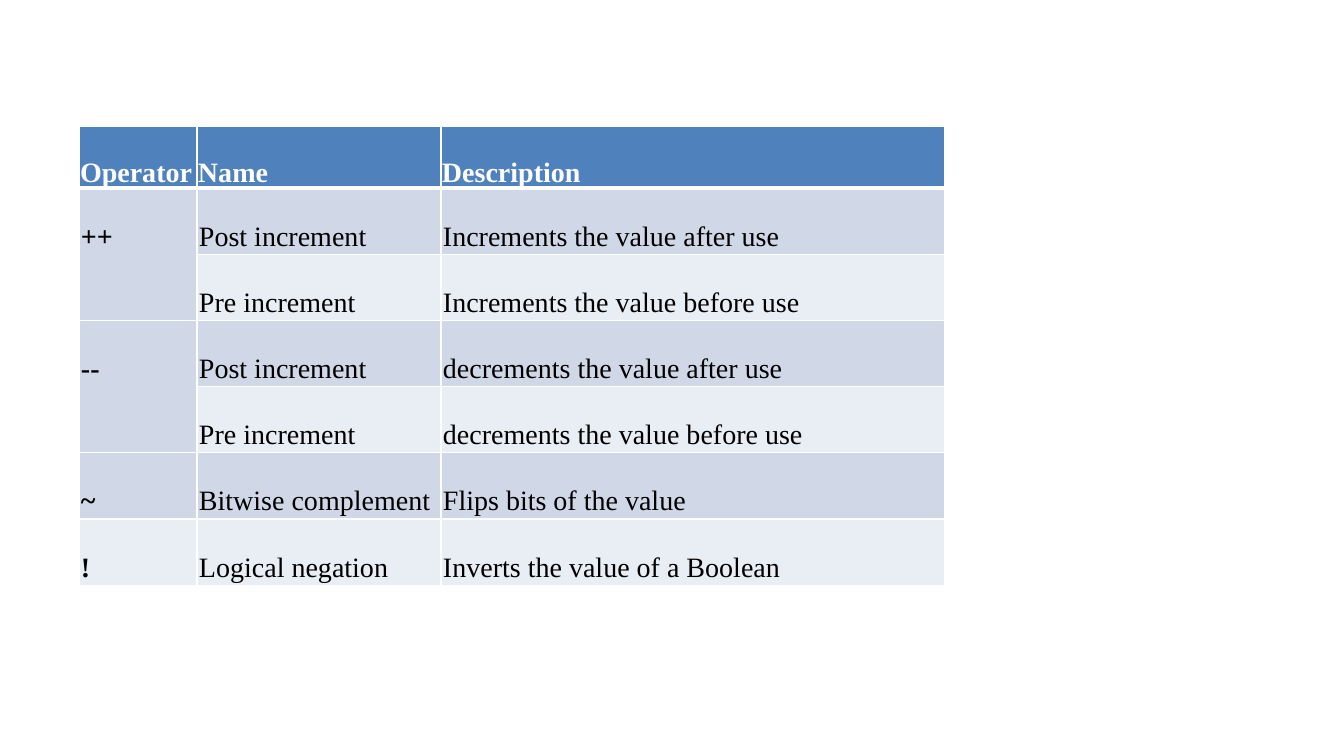
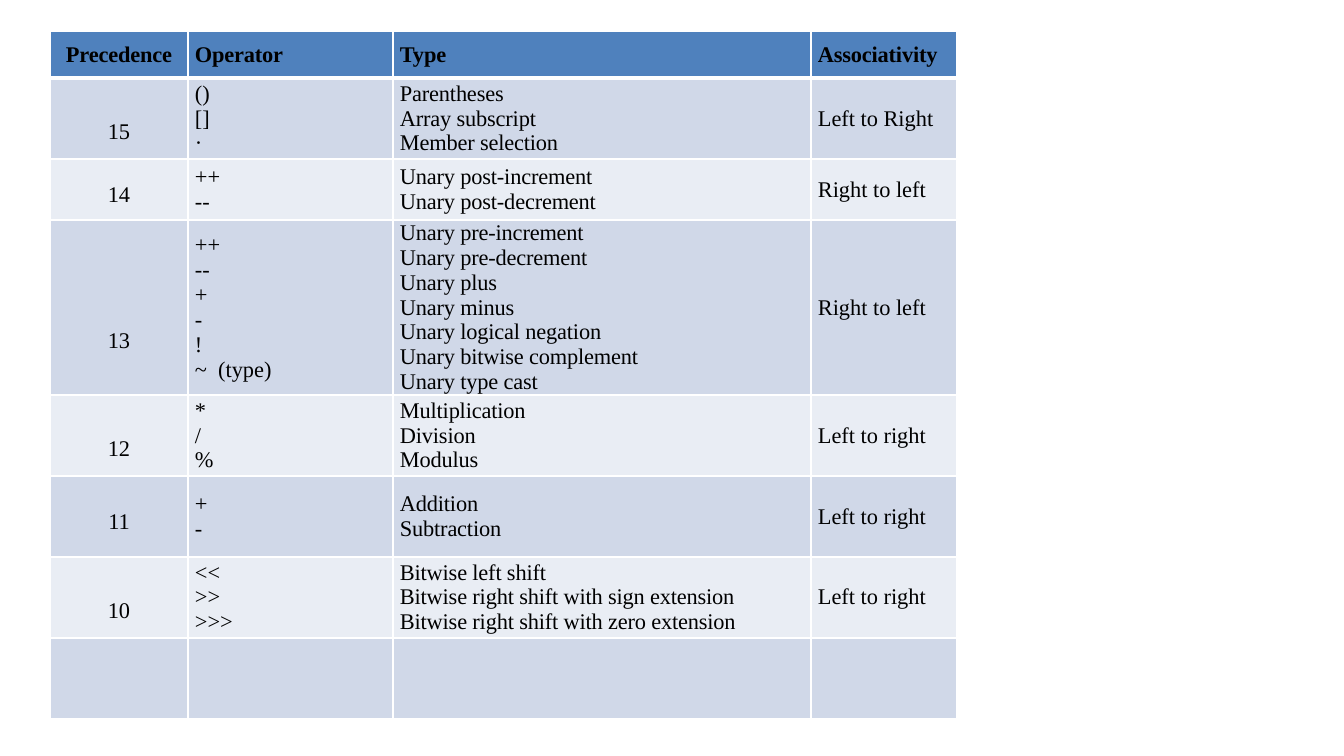
import pptx
import pptx.util
import pptx.dml.color
import pptx.enum.text
import lxml.etree

PX = 914400 / 100.8  # EMU in one px
FONT = "Times New Roman"
COLORS = {"head": "4F81BD", "odd": "D0D8E8", "even": "E9EDF4",
          "white": "FFFFFF", "black": "000000"}
ALIGN = pptx.enum.text.PP_ALIGN
ANCHOR = pptx.enum.text.MSO_ANCHOR
A = "http://schemas.openxmlformats.org/drawingml/2006/main"

UNARY_ROWS = [
    ["Operator", "Name", "Description"],
    ["++", "Post increment", "Increments the value after use"],
    ["", "Pre increment", "Increments the value before use"],
    ["--", "Post increment", "decrements the value after use"],
    ["", "Pre increment", "decrements the value before use"],
    ["~", "Bitwise complement", "Flips bits of the value"],
    ["!", "Logical negation", "Inverts the value of a Boolean"],
]

PRECEDENCE_ROWS = [
    ["Precedence", "Operator", "Type", "Associativity"],
    ["15", "()\n[]\n·", "Parentheses\nArray subscript\nMember selection",
     "Left to Right"],
    ["14", "++\n--", "Unary post-increment\nUnary post-decrement",
     "Right to left"],
    ["13", "++\n--\n+\n-\n!\n~  (type)",
     "Unary pre-increment\nUnary pre-decrement\nUnary plus\nUnary minus\n"
     "Unary logical negation\nUnary bitwise complement\nUnary type cast",
     "Right to left"],
    ["12", "*\n/\n%", "Multiplication\nDivision\nModulus", "Left to right"],
    ["11", "+\n-", "Addition\nSubtraction", "Left to right"],
    ["10", "<<\n>>\n>>>",
     "Bitwise left shift\nBitwise right shift with sign extension\n"
     "Bitwise right shift with zero extension", "Left to right"],
    ["", "", "", ""],
]


def px(n):
    return pptx.util.Emu(round(n * PX))


def rgb(name):
    return pptx.dml.color.RGBColor.from_string(COLORS[name])


def set_all(obj, values):
    for name, value in values.items():
        setattr(obj, name, value)


def set_borders(cell, row):
    """White rules, thicker between the header and the body."""
    widths = {"lnL": 1, "lnR": 1, "lnT": 3 if row == 1 else 1,
              "lnB": 3 if row == 0 else 1}
    tcPr = cell._tc.get_or_add_tcPr()
    for tag, pt in widths.items():
        ln = lxml.etree.SubElement(tcPr, f"{{{A}}}{tag}", w=str(pptx.util.Pt(pt)))
        fill = lxml.etree.SubElement(ln, f"{{{A}}}solidFill")
        lxml.etree.SubElement(fill, f"{{{A}}}srgbClr", val=COLORS["white"])


def write(cell, text, para, font, spacing):
    """One paragraph for each line; spacing is in hundredths of a point."""
    tf = cell.text_frame
    for i, line in enumerate(text.split("\n")):
        p = tf.add_paragraph() if i else tf.paragraphs[0]
        set_all(p, para)
        r = p.add_run()
        r.text = line
        set_all(r.font, {"name": FONT, **font})
        r.font.color.rgb = rgb(font_color(cell))
        if spacing:
            r._r.get_or_add_rPr().set("spc", str(spacing))


def font_color(cell):
    white_head = cell.fill.fore_color.rgb == rgb("head") and \
        cell.vertical_anchor != ANCHOR.MIDDLE
    return "white" if white_head else "black"


def add_grid(s, left, top, cols, rows, texts, style):
    """Place a table; style(row, col) gives cell, paragraph, font, spacing."""
    table = s.shapes.add_table(len(rows), len(cols), px(left), px(top),
                               px(sum(cols)), px(sum(rows))).table
    table.horz_banding = False
    for col, width in zip(table.columns, cols):
        col.width = px(width)
    for row, height in zip(table.rows, rows):
        row.height = px(height)
    for i, line in enumerate(texts):
        for j, text in enumerate(line):
            cell = table.cell(i, j)
            box, para, font, spacing = style(i, j)
            set_borders(cell, i)
            cell.fill.solid()
            cell.fill.fore_color.rgb = rgb(
                "head" if i == 0 else "odd" if i % 2 else "even")
            set_all(cell, box)
            if text:
                write(cell, text, para, font, spacing)
    return table


def margins(left, top, right, bottom):
    return {"margin_left": px(left), "margin_top": px(top),
            "margin_right": px(right), "margin_bottom": px(bottom)}


def unary_slide(s, left, top):
    def style(i, j):
        box = margins(2, 2, 2, 2) if i else margins(1, 0, 1, 0)
        para = {"line_spacing": 2.0, "space_after": pptx.util.Pt(10)}
        font = {"size": pptx.util.Pt(20), "bold": i == 0 or j == 0}
        return box, para, font, 0

    table = add_grid(s, left, top, [118, 244, 504], [62] + [66] * 6,
                     UNARY_ROWS, style)
    # Each two-way operator spans its post and pre rows
    for row in (1, 3):
        table.cell(row, 0).merge(table.cell(row + 1, 0))


def precedence_slide(s, left, top):
    # Numbers sit below the middle of their rows
    drops = [0, 26, 10, 66, 26, 10, 26, 0]

    def style(i, j):
        box = margins(7, 0, 0, 0) if j else margins(0, drops[i], 0, 0)
        box["vertical_anchor"] = ANCHOR.MIDDLE
        para = {"alignment": ALIGN.LEFT if j else ALIGN.CENTER}
        font = {"size": pptx.util.Pt(16), "bold": i == 0}
        return box, para, font, -10 if i == 0 or j == 2 else 0

    add_grid(s, left, top, [138, 205, 418, 146],
             [47, 81, 61, 175, 81, 81, 81, 81], PRECEDENCE_ROWS, style)


def main():
    prs = pptx.Presentation()
    prs.slide_width, prs.slide_height = px(1344), px(756)
    for build, left, top in ((unary_slide, 79, 126),
                             (precedence_slide, 50, 31)):
        build(prs.slides.add_slide(prs.slide_layouts[6]), left, top)
    prs.save("out.pptx")


if __name__ == "__main__":
    main()
